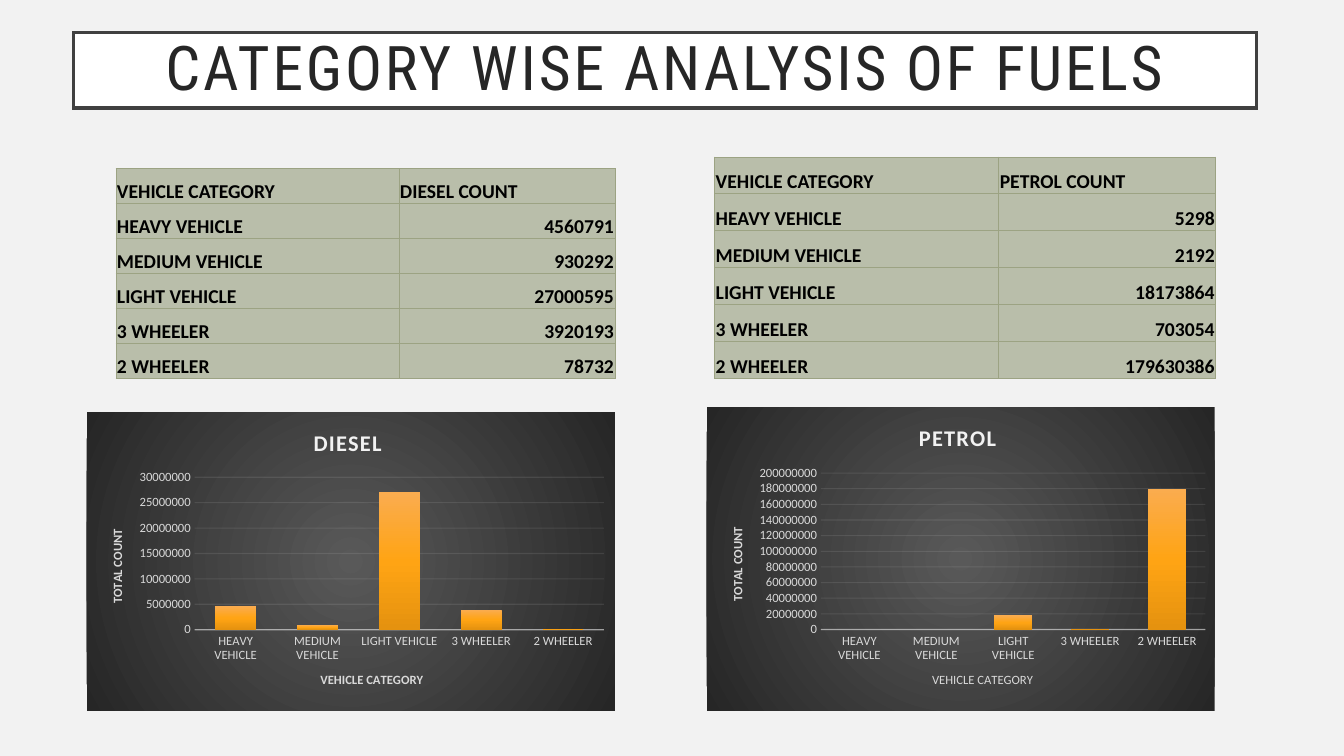
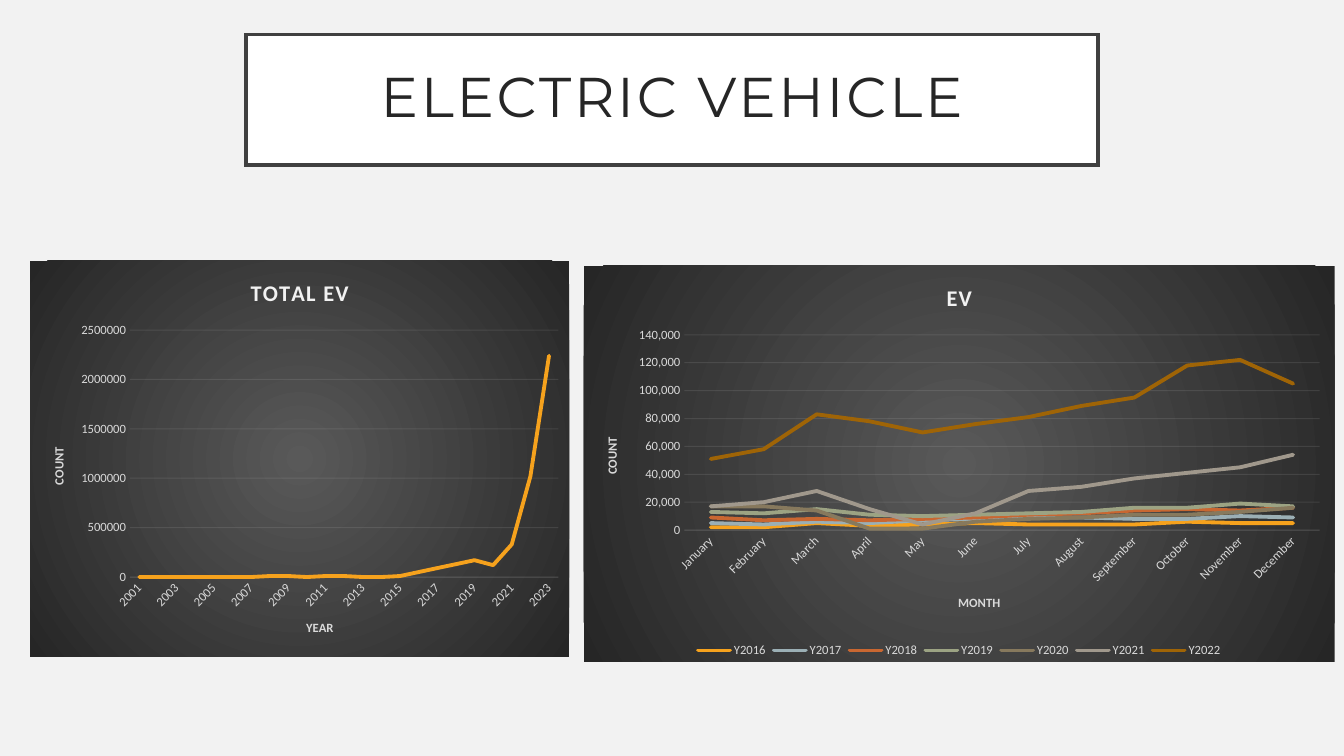
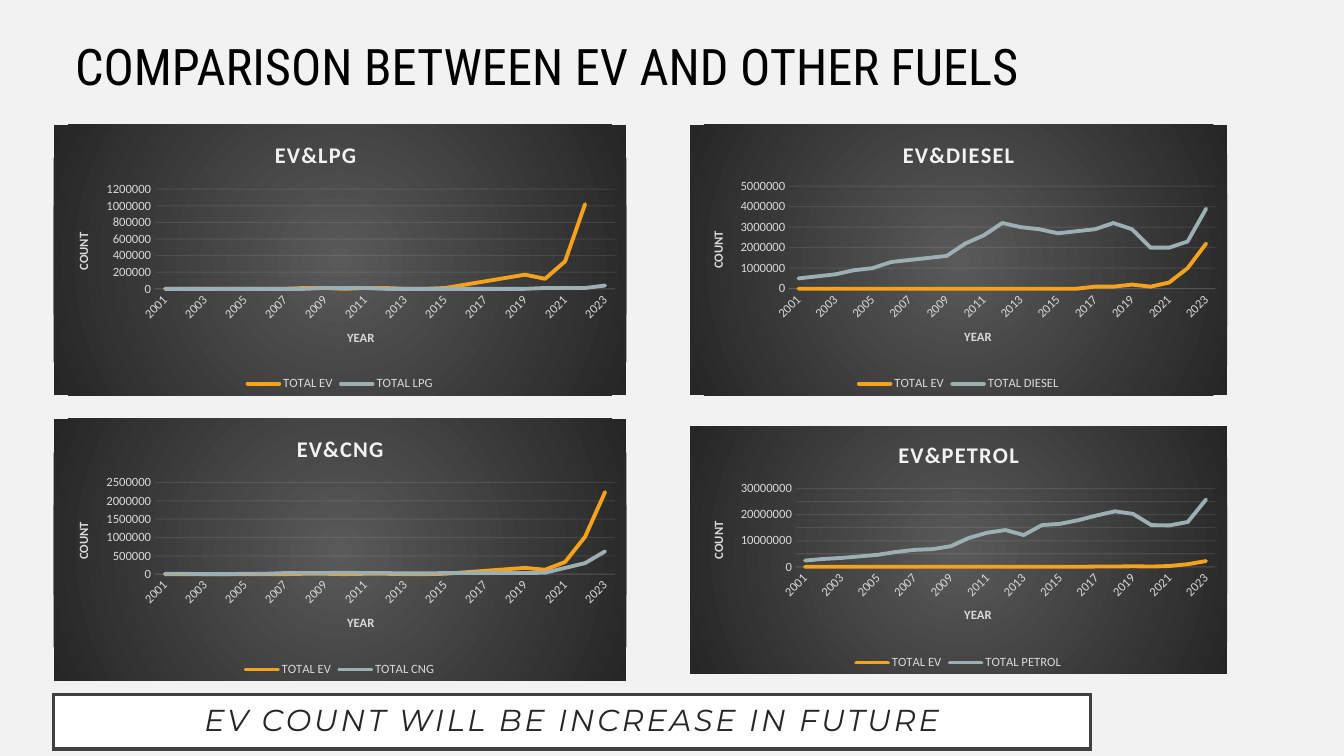
from dataclasses import dataclass

from lxml import etree
from pptx import Presentation
from pptx import util as u
from pptx.chart.data import CategoryChartData
from pptx.dml.color import RGBColor
from pptx.enum import chart as charts, shapes, text
from pptx.oxml import parse_xml
from pptx.oxml.ns import nsdecls, qn


@dataclass(frozen=True)
class Theme:
    background: str = "F2F2F2"
    panel: str = "FFFFFF"
    frame: str = "404040"
    title: str = "262626"
    ink: str = "000000"
    light: str = "F2F2F2"
    muted: str = "D9D9D9"
    cell: str = "B9BEAA"
    border: str = "9CA383"
    chart_stops: tuple = ((0, "595959"), (100, "262626"))
    bar_stops: tuple = ((0, "FAAC4F"), (50, "FFA414"), (100, "E5920F"))
    series: tuple = ("F6A21D", "9BAFB5", "C96731", "9CA383", "87795D", "A0988C", "9F6406")
    body_font: str = "Calibri"
    heading_font: str = "Roboto Condensed"
    title_font: str = "Montserrat"
    chart_title_size: int = 16
    label_size: int = 9
    table_size: int = 14


THEME = Theme()
WIDTH, HEIGHT = u.Inches(13.33), u.Inches(7.5)

# Chart data
CATEGORIES = ["HEAVY VEHICLE", "MEDIUM VEHICLE", "LIGHT VEHICLE", "3 WHEELER", "2 WHEELER"]
DIESEL_COUNTS = [4560791, 930292, 27000595, 3920193, 78732]
PETROL_COUNTS = [5298, 2192, 18173864, 703054, 179630386]
YEARS = [str(year) for year in range(2001, 2024)]
MONTHS = ["January", "February", "March", "April", "May", "June", "July", "August",
          "September", "October", "November", "December"]


def scaled(unit, values):
    return [value * unit for value in values]


EV = scaled(10000, [0, 0, 0, 0, 0, 0, 0, 1, 1, 0, 1, 1, 0, 0, 1, 5, 9, 13, 17, 12, 33, 102, 224])
EV_ROUNDED = scaled(100000, [0] * 16 + [1, 1, 2, 1, 3, 10, 22])
LPG = scaled(10000, [0] * 8 + [1, 1, 1] + [0] * 8 + [1, 1, 1, 4])
CNG = scaled(10000, [1, 1, 0, 0, 1, 1, 3, 3, 3, 4, 3, 3, 2, 2, 3, 3, 3, 3, 3, 4, 17, 30, 62])
DIESEL = scaled(100000, [5, 6, 7, 9, 10, 13, 14, 15, 16, 22, 26, 32, 30, 29, 27, 28, 29, 32,
                         29, 20, 20, 23, 39])
PETROL = scaled(100000, [24, 30, 34, 40, 46, 57, 65, 68, 79, 111, 131, 141, 122, 160, 165,
                         179, 197, 213, 203, 160, 159, 172, 258])
MONTHLY_EV = {
    "Y2016": [2, 2, 5, 3, 4, 5, 4, 4, 4, 6, 5, 5],
    "Y2017": [5, 4, 6, 5, 7, 8, 9, 9, 8, 8, 10, 9],
    "Y2018": [9, 7, 8, 7, 8, 9, 11, 12, 14, 15, 14, 16],
    "Y2019": [13, 12, 15, 11, 10, 11, 12, 13, 16, 16, 19, 17],
    "Y2020": [17, 17, 14, 1, 1, 6, 8, 9, 11, 11, 13, 16],
    "Y2021": [17, 20, 28, 15, 4, 12, 28, 31, 37, 41, 45, 54],
    "Y2022": [51, 58, 83, 78, 70, 76, 81, 89, 95, 118, 122, 105],
}


# Shared helpers
def area(column, row, columns, rows):
    """Place a box on a grid of 100 columns by 100 rows."""
    return [u.Emu(round(share * side / 100))
            for share, side in zip((column, row, columns, rows), (WIDTH, HEIGHT) * 2)]


def style_font(font, size, color, name=THEME.body_font, bold=False, italic=False):
    font.size, font.name, font.bold, font.italic = u.Pt(size), name, bold, italic
    font.color.rgb = RGBColor.from_string(color)


def add_run(paragraph, words, *style, spacing=0, **options):
    run = paragraph.add_run()
    run.text = words
    style_font(run.font, *style, **options)
    if spacing:
        run.font._element.set("spc", str(spacing * 100))


def gradient(stops, direction):
    marks = "".join(f'<a:gs pos="{position * 1000}"><a:srgbClr val="{color}"/></a:gs>'
                    for position, color in stops)
    return f'<a:gradFill rotWithShape="1"><a:gsLst>{marks}</a:gsLst>{direction}</a:gradFill>'


def shape_properties(content):
    return parse_xml(f'<c:spPr {nsdecls("c", "a")}>{content}</c:spPr>')


def style_line(line, color, width):
    line.color.rgb = RGBColor.from_string(color)
    line.width = u.Pt(width)


def set_opacity(element, percent):
    for color in element.iter(qn("a:srgbClr")):
        etree.SubElement(color, qn("a:alpha")).set("val", str(percent * 1000))


def new_slide(presentation):
    slide = presentation.slides.add_slide(presentation.slide_layouts[6])
    slide.background.fill.solid()
    slide.background.fill.fore_color.rgb = RGBColor.from_string(THEME.background)
    return slide


# Text elements
def add_framed_title(slide, box, words, size, font, italic=False):
    shape = slide.shapes.add_shape(shapes.MSO_SHAPE.RECTANGLE, *area(*box))
    shape.shadow.inherit = False
    shape.fill.solid()
    shape.fill.fore_color.rgb = RGBColor.from_string(THEME.panel)
    style_line(shape.line, THEME.frame, 2.5)
    outline = shape._element.spPr.find(qn("a:ln"))
    etree.SubElement(outline, qn("a:miter")).set("lim", "800000")
    frame = shape.text_frame
    frame.word_wrap = True
    frame.vertical_anchor = text.MSO_ANCHOR.MIDDLE
    frame.margin_left = frame.margin_right = u.Inches(0.2)
    frame.margin_top = frame.margin_bottom = 0
    paragraph = frame.paragraphs[0]
    paragraph.alignment = text.PP_ALIGN.CENTER
    paragraph.line_spacing = 0.9
    add_run(paragraph, words, size, THEME.title, font, italic=italic, spacing=2)


def add_heading(slide, box, words, size):
    frame = slide.shapes.add_textbox(*area(*box)).text_frame
    frame.word_wrap = True
    add_run(frame.paragraphs[0], words, size, THEME.ink, THEME.heading_font)


# Tables
def style_cell(cell):
    cell.fill.solid()
    cell.fill.fore_color.rgb = RGBColor.from_string(THEME.cell)
    cell.vertical_anchor = text.MSO_ANCHOR.BOTTOM
    cell.margin_left = cell.margin_right = cell.margin_top = u.Inches(0.01)
    cell.margin_bottom = 0
    properties = cell._tc.get_or_add_tcPr()
    for index, side in enumerate(("lnL", "lnR", "lnT", "lnB")):
        properties.insert(index, parse_xml(
            f'<a:{side} {nsdecls("a")} w="{u.Pt(0.5)}"><a:solidFill>'
            f'<a:srgbClr val="{THEME.border}"/></a:solidFill></a:{side}>'))


def add_count_table(slide, box, heading, counts):
    rows = [("VEHICLE CATEGORY", heading), *zip(CATEGORIES, map(str, counts))]
    left, top, width, height = area(*box)
    table = slide.shapes.add_table(len(rows), 2, left, top, width, height).table
    table.columns[0].width = u.Emu(round(width * 56.7 / 100))
    table.columns[1].width = u.Emu(width - table.columns[0].width)
    for row_index, row in enumerate(rows):
        table.rows[row_index].height = u.Emu(height // len(rows))
        for column_index, words in enumerate(row):
            cell = table.cell(row_index, column_index)
            style_cell(cell)
            paragraph = cell.text_frame.paragraphs[0]
            if row_index and column_index:
                paragraph.alignment = text.PP_ALIGN.RIGHT
            add_run(paragraph, words, THEME.table_size, THEME.ink, bold=True)


# Charts
def set_layout(parent, position, inner=False):
    """Fix a plot area or a title at percentages of the chart's size."""
    for previous in parent.findall(qn("c:layout")):
        parent.remove(previous)
    names = ("x", "y", "w", "h")[:len(position)]
    target = '<c:layoutTarget val="inner"/>' if inner else ""
    modes = "".join(f'<c:{name}Mode val="edge"/>' for name in names[:2])
    values = "".join(f'<c:{name} val="{percent / 100:.4f}"/>'
                     for name, percent in zip(names, position))
    layout = parse_xml(f'<c:layout {nsdecls("c")}><c:manualLayout>{target}{modes}{values}'
                       '</c:manualLayout></c:layout>')
    words = parent.find(qn("c:tx"))
    if words is None:
        parent.insert(0, layout)
    else:
        words.addnext(layout)


def style_axis(axis, title, bold_title=True):
    axis.major_tick_mark = axis.minor_tick_mark = charts.XL_TICK_MARK.NONE
    style_font(axis.tick_labels.font, THEME.label_size, THEME.muted)
    add_run(axis.axis_title.text_frame.paragraphs[0], title, THEME.label_size, THEME.muted,
            bold=bold_title)


def add_chart(slide, box, kind, title, labels, series, plot, axis_titles, scale,
              number_format="0", title_at=None, bold_category_title=True):
    data = CategoryChartData()
    data.categories = labels
    for name, values in series.items():
        data.add_series(name, values)
    chart = slide.shapes.add_chart(kind, *area(*box), data).chart
    style_font(chart.font, 10, THEME.ink)
    circle = '<a:path path="circle"><a:fillToRect l="50000" t="50000" r="50000" b="50000"/></a:path>'
    chart._chartSpace.find(qn("c:chart")).addnext(shape_properties(
        gradient(THEME.chart_stops, circle) + "<a:ln><a:noFill/></a:ln>"))

    # Title and plot area
    chart.has_title = True
    add_run(chart.chart_title.text_frame.paragraphs[0], title, THEME.chart_title_size,
            THEME.light, bold=True, spacing=1)
    chart.chart_title.include_in_layout = False
    if title_at:
        set_layout(chart.chart_title._element, title_at)
    set_layout(chart._chartSpace.find(".//" + qn("c:plotArea")), plot, inner=True)

    # Axes
    category_axis, value_axis = chart.category_axis, chart.value_axis
    style_axis(category_axis, axis_titles[0], bold_category_title)
    style_axis(value_axis, axis_titles[1])
    is_column = kind == charts.XL_CHART_TYPE.COLUMN_CLUSTERED
    style_line(category_axis.format.line, THEME.light, 1 if is_column else 0.75)
    set_opacity(category_axis._element.find(qn("c:spPr")), 54 if is_column else 10)
    value_axis.format.line.fill.background()
    value_axis.has_major_gridlines = True
    style_line(value_axis.major_gridlines.format.line, THEME.light, 0.75)
    set_opacity(value_axis._element.find(qn("c:majorGridlines")), 10)
    value_axis.minimum_scale = 0
    value_axis.maximum_scale, value_axis.major_unit = scale
    value_axis.tick_labels.number_format = number_format
    value_axis.tick_labels.number_format_is_linked = False

    # Legend
    chart.has_legend = len(series) > 1
    if chart.has_legend:
        chart.legend.position = charts.XL_LEGEND_POSITION.BOTTOM
        chart.legend.include_in_layout = False
        style_font(chart.legend.font, THEME.label_size, THEME.muted)
    return chart


def add_column_chart(slide, box, title, values, plot, scale, **options):
    chart = add_chart(slide, box, charts.XL_CHART_TYPE.COLUMN_CLUSTERED, title, CATEGORIES,
                      {"Series 1": values}, plot, ("VEHICLE CATEGORY", "TOTAL COUNT"),
                      scale, **options)
    columns = chart.plots[0]
    columns.gap_width, columns.overlap, columns.vary_by_categories = 100, -24, False
    columns.series[0].format.fill.solid()
    properties = columns.series[0]._element.find(qn("c:spPr"))
    properties.getparent().replace(properties, shape_properties(
        gradient(THEME.bar_stops, '<a:lin ang="5400000" scaled="0"/>')))


def add_line_chart(slide, box, title, labels, series, plot, category_title, scale, **options):
    chart = add_chart(slide, box, charts.XL_CHART_TYPE.LINE, title, labels, series, plot,
                      (category_title, "COUNT"), scale, **options)
    chart.plots[0].vary_by_categories = False
    axis = chart.category_axis._element
    axis.find(qn("c:txPr")).find(qn("a:bodyPr")).set("rot", "-2700000")
    if labels is YEARS:
        skip = parse_xml(f'<c:tickLblSkip {nsdecls("c")} val="2"/>')
        axis.find(qn("c:noMultiLvlLbl")).addprevious(skip)
    for line, color in zip(chart.plots[0].series, THEME.series):
        line.smooth = False
        style_line(line.format.line, color, 2.75)
        line._element.find(qn("c:spPr")).find(qn("a:ln")).set("cap", "rnd")


# Slides
def build_fuel_categories(presentation):
    slide = new_slide(presentation)
    add_framed_title(slide, (5.48, 4.27, 88, 10), "CATEGORY WISE ANALYSIS OF FUELS", 44,
                     THEME.heading_font)
    add_column_chart(slide, (6.45, 54.53, 39.3, 39.47), "DIESEL ",
                     [4600000, 900000, 27000000, 3900000, 100000],
                     (20.45, 21.8, 77.5, 51.1), (30000000, 5000000))
    add_column_chart(slide, (52.58, 53.87, 37.8, 40.13), "PETROL ",
                     [0, 0, 18000000, 1000000, 180000000],
                     (22.5, 21.7, 75.7, 51.6), (200000000, 20000000),
                     bold_category_title=False)
    add_count_table(slide, (8.63, 22.27, 37.13, 27.8), "DIESEL COUNT", DIESEL_COUNTS)
    add_count_table(slide, (53.18, 20.75, 37.28, 29.3), "PETROL COUNT", PETROL_COUNTS)


def build_electric_vehicle(presentation):
    slide = new_slide(presentation)
    add_framed_title(slide, (18.3, 4.53, 63.4, 17.33), "ELECTRIC VEHICLE", 40,
                     THEME.title_font)
    add_line_chart(slide, (2.25, 34.5, 40.1, 52.4), "TOTAL EV", YEARS, {"TOTAL EV": EV},
                   (18.5, 17.5, 79.5, 62.35), "YEAR", (2500000, 500000))
    monthly = {year: scaled(1000, values) for year, values in MONTHLY_EV.items()}
    add_line_chart(slide, (43.43, 35.15, 55.88, 52.4), "EV", MONTHS, monthly,
                   (13.4, 17.45, 84.6, 49.3), "MONTH", (140000, 20000),
                   number_format="#,##0")


def build_comparison(presentation):
    slide = new_slide(presentation)
    add_framed_title(slide, (3.98, 91.87, 77.18, 7.2), "EV COUNT WILL BE INCREASE IN FUTURE",
                     21.6, THEME.title_font, italic=True)
    add_heading(slide, (4.85, 4, 89.18, 9.47), "COMPARISON BETWEEN EV AND OTHER FUELS", 36)
    left, right = (4, 42.6), (51.35, 39.95)
    comparisons = [
        ("LPG", EV[:-1] + [None], LPG, left, (16.53, 35.73), (17.7, 23.8, 80.35, 36.9),
         (1200000, 200000), (37.9, 3.9)),
        ("DIESEL", EV_ROUNDED, DIESEL, right, (16.53, 35.73), (18.45, 22.65, 79.4, 38),
         (5000000, 1000000), None),
        ("CNG", EV, CNG, left, (55.4, 34.67), (17.7, 24.3, 80.35, 35),
         (2500000, 500000), None),
        ("PETROL", EV_ROUNDED, PETROL, right, (56.35, 32.8), (19.7, 25.3, 78.1, 31.55),
         (30000000, 5000000), None),
    ]
    for fuel, electric, values, (column, columns), (row, rows), plot, scale, title_at in comparisons:
        add_line_chart(slide, (column, row, columns, rows), f"EV&{fuel}", YEARS,
                       {"TOTAL EV": electric, f"TOTAL {fuel}": values}, plot, "YEAR", scale,
                       title_at=title_at)


def main():
    presentation = Presentation()
    presentation.slide_width, presentation.slide_height = WIDTH, HEIGHT
    build_fuel_categories(presentation)
    build_electric_vehicle(presentation)
    build_comparison(presentation)
    presentation.save("out.pptx")


if __name__ == "__main__":
    main()
